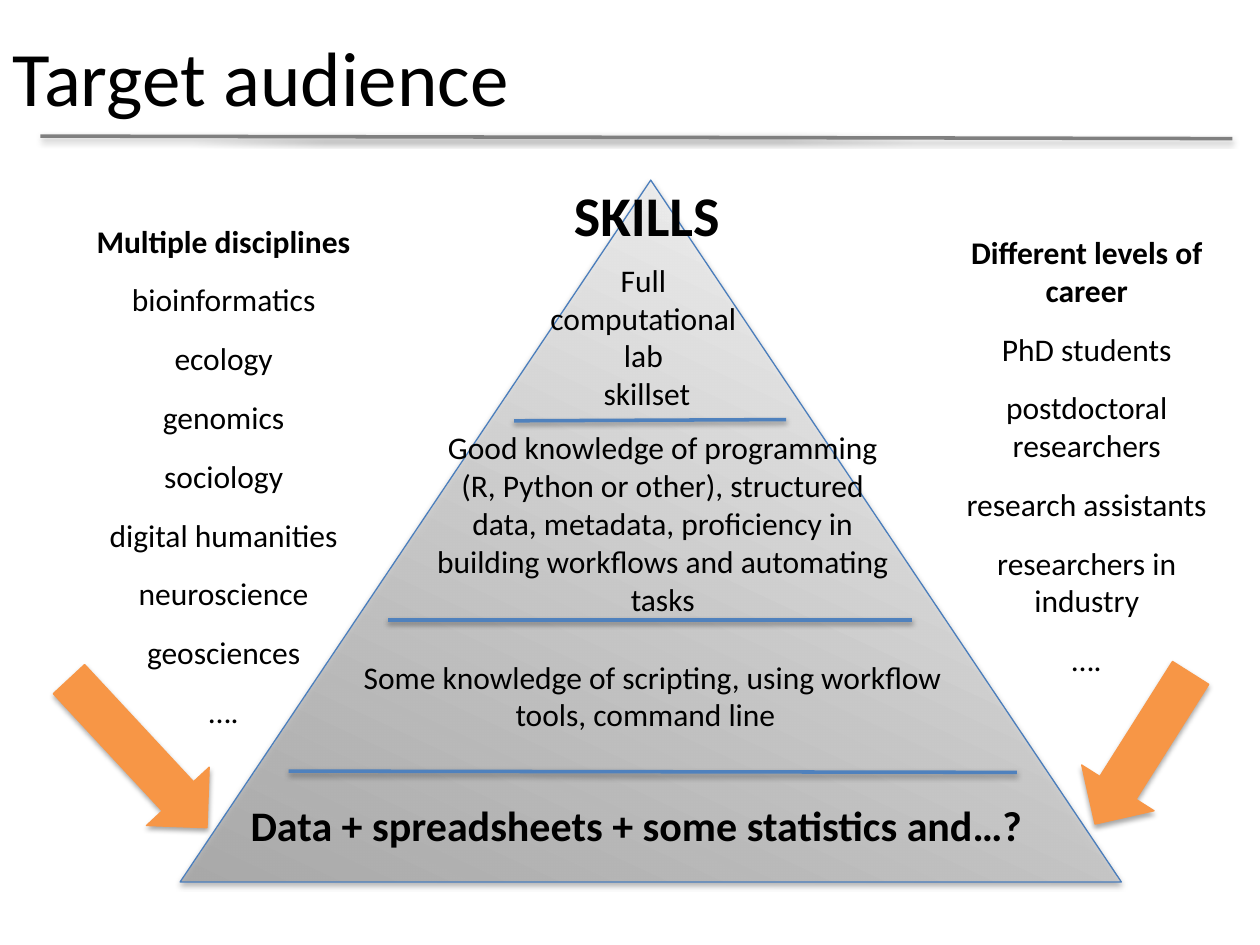
from dataclasses import dataclass

from lxml import etree
from pptx import Presentation
from pptx.dml.color import RGBColor
from pptx.enum.shapes import MSO_CONNECTOR, MSO_SHAPE
from pptx.enum.text import MSO_ANCHOR, MSO_AUTO_SIZE, PP_ALIGN
from pptx.oxml import parse_xml
from pptx.oxml.ns import nsdecls, qn
from pptx.util import Inches, Pt

STRAIGHT = MSO_CONNECTOR.STRAIGHT
TRIANGLE, ARROW = MSO_SHAPE.ISOSCELES_TRIANGLE, MSO_SHAPE.RIGHT_ARROW
LEFT, CENTER, MIDDLE = PP_ALIGN.LEFT, PP_ALIGN.CENTER, MSO_ANCHOR.MIDDLE
GROW = MSO_AUTO_SIZE.SHAPE_TO_FIT_TEXT


@dataclass(frozen=True)
class Theme:
    font: str = "Calibri"
    ink: str = "000000"
    rule: str = "808080"
    divider: str = "4F81BD"
    outline: str = "4B7EBC"
    accent: str = "F79646"
    base: str = "A6A6A6"
    peak: str = "FFFFFF"
    title: int = 44
    heading: int = 32
    foundation: int = 24
    body: int = 18
    list_gap: int = 12
    thick: float = 2
    thin: float = 0.75


THEME = Theme()
SLIDE_WIDTH, SLIDE_HEIGHT = Inches(10), Inches(7.5)
COLUMNS, ROWS = 100, 75

TITLE = ("Target audience", (0, 0, 74.7, 12))
TITLE_RULE = (3.2, 10.8, 97.8, 11)
PYRAMID = (14.3, 14.3, 74.7, 55.7)
ARROWS = [((2.9, 56.4, 16.1, 6.8), 47.1), ((83.6, 56, 14.2, 6.8), 122.3)]
DIVIDERS = [
    (40.8, 33.4, 62.4, 33.3),
    (30.8, 49.2, 72.4, 49.2),
    (22.9, 61.2, 80.7, 61.3),
]
TIERS = [
    (["SKILLS"], (36.5, 13.8, 29.7, 6.4), THEME.heading, True, CENTER),
    (["Full ", "computational ", "lab ", "skillset"],
     (36.5, 20.2, 29.7, 13.1), THEME.body, False, CENTER),
    (["Good knowledge of programming (R, Python or other), structured data, "
      "metadata, proficiency in building workflows and automating tasks"],
     (33.5, 33.5, 38.2, 16.2), THEME.body, False, CENTER),
    (["Some knowledge of scripting, using workflow tools, command line  "],
     (26.1, 51.7, 51.4, 7.1), THEME.body, False, CENTER),
    (["Data + spreadsheets + some statistics and…?"],
     (18.9, 63, 65.7, 5), THEME.foundation, True, LEFT),
]
AUDIENCES = [
    (["Multiple disciplines", "bioinformatics", "ecology", "genomics", "sociology",
      "digital humanities", "neuroscience", "geosciences", "…."],
     (2.9, 17.1, 29.7, 44.8)),
    (["Different levels of career", "PhD students", "postdoctoral researchers",
      "research assistants", "researchers in industry", "…."],
     (74, 18, 24.5, 39.7)),
]


def on_grid(box):
    units = (SLIDE_WIDTH / COLUMNS, SLIDE_HEIGHT / ROWS)
    return [round(value * units[i % 2]) for i, value in enumerate(box)]


def apply(target, formats):
    for attribute, value in formats.items():
        setattr(target, attribute, value)


def set_line(part, color, width):
    part.line.color.rgb = RGBColor.from_string(color)
    part.line.width = Pt(width)


def cast_shadow(part, opacity, distance):
    part._element.spPr.append(parse_xml(
        f'<a:effectLst {nsdecls("a")}>'
        f'<a:outerShdw blurRad="{Pt(3.1)}" dist="{Pt(distance)}" dir="5400000" '
        f'rotWithShape="0"><a:srgbClr val="{THEME.ink}">'
        f'<a:alpha val="{opacity * 1000}"/></a:srgbClr></a:outerShdw></a:effectLst>'))


def add_rule(slide, ends, color):
    rule = slide.shapes.add_connector(STRAIGHT, *on_grid(ends))
    set_line(rule, color, THEME.thick)
    cast_shadow(rule, 38, 1.6)


def add_pyramid(slide):
    pyramid = slide.shapes.add_shape(TRIANGLE, *on_grid(PYRAMID))
    pyramid.fill.gradient()
    pyramid.fill.gradient_angle = 65
    stops = pyramid.fill.gradient_stops
    for stop, position, color in zip(stops, (0, 1), (THEME.base, THEME.peak)):
        stop.position = position
        stop.color.rgb = RGBColor.from_string(color)
    base_color = next(pyramid._element.spPr.iter(qn("a:srgbClr")))
    etree.SubElement(base_color, qn("a:alpha")).set("val", "80000")
    set_line(pyramid, THEME.outline, THEME.thin)
    cast_shadow(pyramid, 35, 1.8)


def add_arrow(slide, box, rotation):
    arrow = slide.shapes.add_shape(ARROW, *on_grid(box))
    arrow.rotation = rotation
    arrow.fill.solid()
    arrow.fill.fore_color.rgb = RGBColor.from_string(THEME.accent)
    set_line(arrow, THEME.accent, THEME.thin)
    cast_shadow(arrow, 35, 1.8)


def write(frame, lines, size, bold_lines, alignment, gap=0):
    frame.text = "\n".join(lines)
    for index, paragraph in enumerate(frame.paragraphs):
        apply(paragraph, {"alignment": alignment, "space_before": Pt(gap)})
        for run in paragraph.runs:
            apply(run.font, {"name": THEME.font, "size": Pt(size),
                             "bold": index < bold_lines})
            run.font.color.rgb = RGBColor.from_string(THEME.ink)


def add_text(slide, box, *content):
    frame = slide.shapes.add_textbox(*on_grid(box)).text_frame
    apply(frame, {"word_wrap": True, "auto_size": GROW})
    write(frame, *content)


def main():
    deck = Presentation()
    apply(deck, {"slide_width": SLIDE_WIDTH, "slide_height": SLIDE_HEIGHT})
    slide = deck.slides.add_slide(deck.slide_layouts[5])

    heading, heading_box = TITLE
    title = slide.shapes.title
    apply(title, dict(zip(("left", "top", "width", "height"), on_grid(heading_box))))
    title.text_frame.vertical_anchor = MIDDLE
    write(title.text_frame, [heading], THEME.title, 0, LEFT)

    add_rule(slide, TITLE_RULE, THEME.rule)
    add_pyramid(slide)
    for box, rotation in ARROWS:
        add_arrow(slide, box, rotation)
    for ends in DIVIDERS:
        add_rule(slide, ends, THEME.divider)
    for lines, box, size, bold, alignment in TIERS:
        add_text(slide, box, lines, size, int(bold), alignment)
    for lines, box in AUDIENCES:
        add_text(slide, box, lines, THEME.body, 1, CENTER, THEME.list_gap)

    deck.save("out.pptx")


if __name__ == "__main__":
    main()
